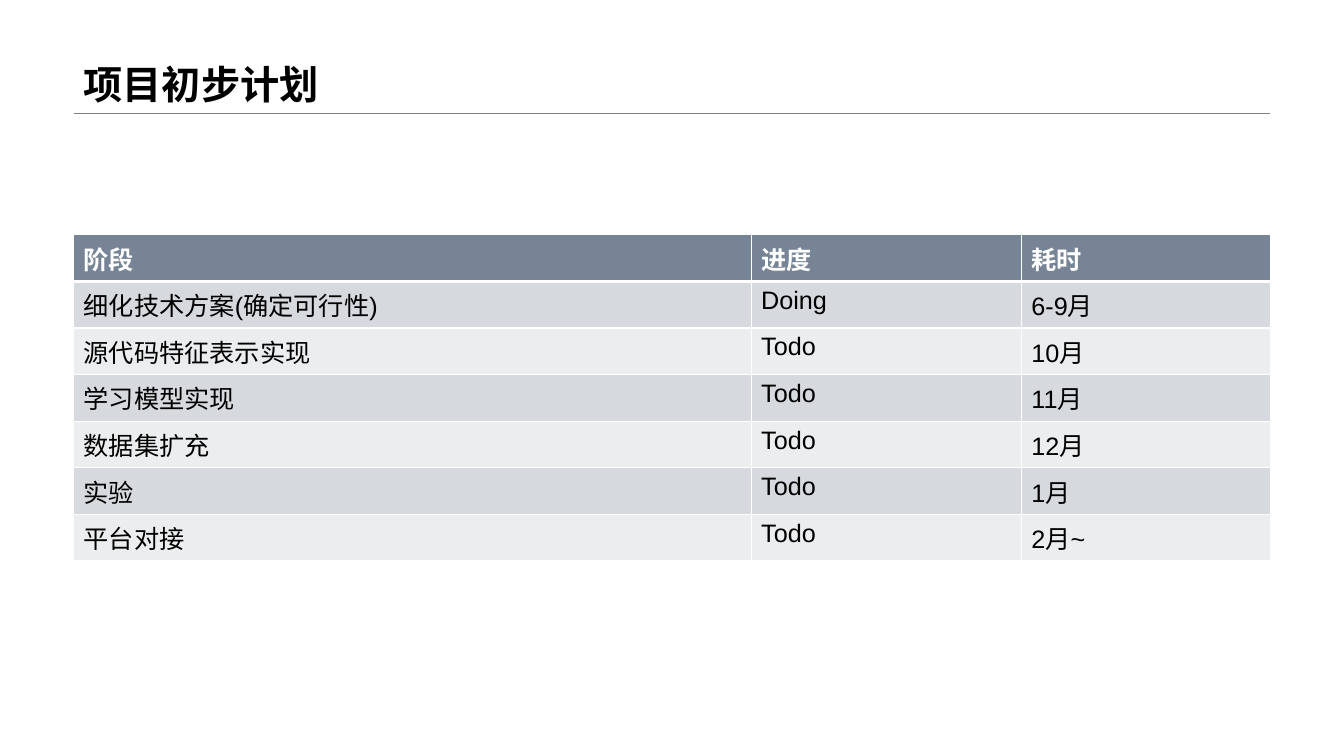
from lxml import etree
from pptx import Presentation
from pptx.dml.color import RGBColor
from pptx.enum.shapes import MSO_CONNECTOR
from pptx.enum.text import MSO_ANCHOR, MSO_AUTO_SIZE, PP_ALIGN
from pptx.oxml.ns import qn
from pptx.util import Inches, Pt

STRAIGHT = MSO_CONNECTOR.STRAIGHT
BOTTOM = MSO_ANCHOR.BOTTOM
NO_FIT = MSO_AUTO_SIZE.NONE
LEFT = PP_ALIGN.LEFT

COLORS = {
    "text": "000000",
    "white": "FFFFFF",
    "rule": "808080",
    "head": "778495",
    "odd": "D6D9DD",
    "even": "ECEDEF",
}
ROWS = [
    ("阶段", "进度", "耗时"),
    ("细化技术方案(确定可行性)", "Doing", "6-9月"),
    ("源代码特征表示实现", "Todo", "10月"),
    ("学习模型实现", "Todo", "11月"),
    ("数据集扩充", "Todo", "12月"),
    ("实验", "Todo", "1月"),
    ("平台对接", "Todo", "2月~"),
]
WIDTHS = [6.72, 2.68, 2.47]
MARGIN, SPAN = 0.73, sum(WIDTHS)
RULE_Y = 1.12


def set_font(para, size, color, bold):
    para.font.name = "Arial"
    para.font.size = Pt(size)
    para.font.bold = bold
    para.font.color.rgb = RGBColor.from_string(COLORS[color])


def add_border(cell, side, points):
    props = cell._tc.get_or_add_tcPr()
    line = etree.SubElement(props, qn(f"a:ln{side}"), w=str(Pt(points)))
    fill = etree.SubElement(line, qn("a:solidFill"))
    etree.SubElement(fill, qn("a:srgbClr"), val=COLORS["white"])


prs = Presentation()
prs.slide_width = Inches(13.33)
prs.slide_height = Inches(7.5)
slide = prs.slides.add_slide(prs.slide_layouts[5])

rule = slide.shapes.add_connector(
    STRAIGHT, Inches(MARGIN), Inches(RULE_Y), Inches(MARGIN + SPAN), Inches(RULE_Y)
)
rule.line.color.rgb = RGBColor.from_string(COLORS["rule"])
rule.line.width = Pt(0.25)
etree.SubElement(rule._element.spPr, qn("a:effectLst"))

title = slide.shapes.title
title.left, title.top = Inches(MARGIN), Inches(0)
title.width, title.height = Inches(SPAN), Inches(RULE_Y)
frame = title.text_frame
frame.text = "项目初步计划"
frame.auto_size = NO_FIT
frame.vertical_anchor = BOTTOM
para = frame.paragraphs[0]
para.alignment = LEFT
para.line_spacing = 0.9
set_font(para, 28, "text", True)

table = slide.shapes.add_table(
    len(ROWS), len(WIDTHS), Inches(MARGIN), Inches(2.33), Inches(SPAN), Inches(2.84)
).table
for col, width in zip(table.columns, WIDTHS):
    col.width = Inches(width)

for r, row in enumerate(ROWS):
    head = r == 0
    shade = "head" if head else "odd" if r % 2 else "even"
    for c, text in enumerate(row):
        cell = table.cell(r, c)
        cell.text = text
        set_font(cell.text_frame.paragraphs[0], 18, "white" if head else "text", head)
        for side in "LRTB":
            thick = (head and side == "B") or (r == 1 and side == "T")
            add_border(cell, side, 3 if thick else 1)
        cell.fill.solid()
        cell.fill.fore_color.rgb = RGBColor.from_string(COLORS[shade])

prs.save("out.pptx")
